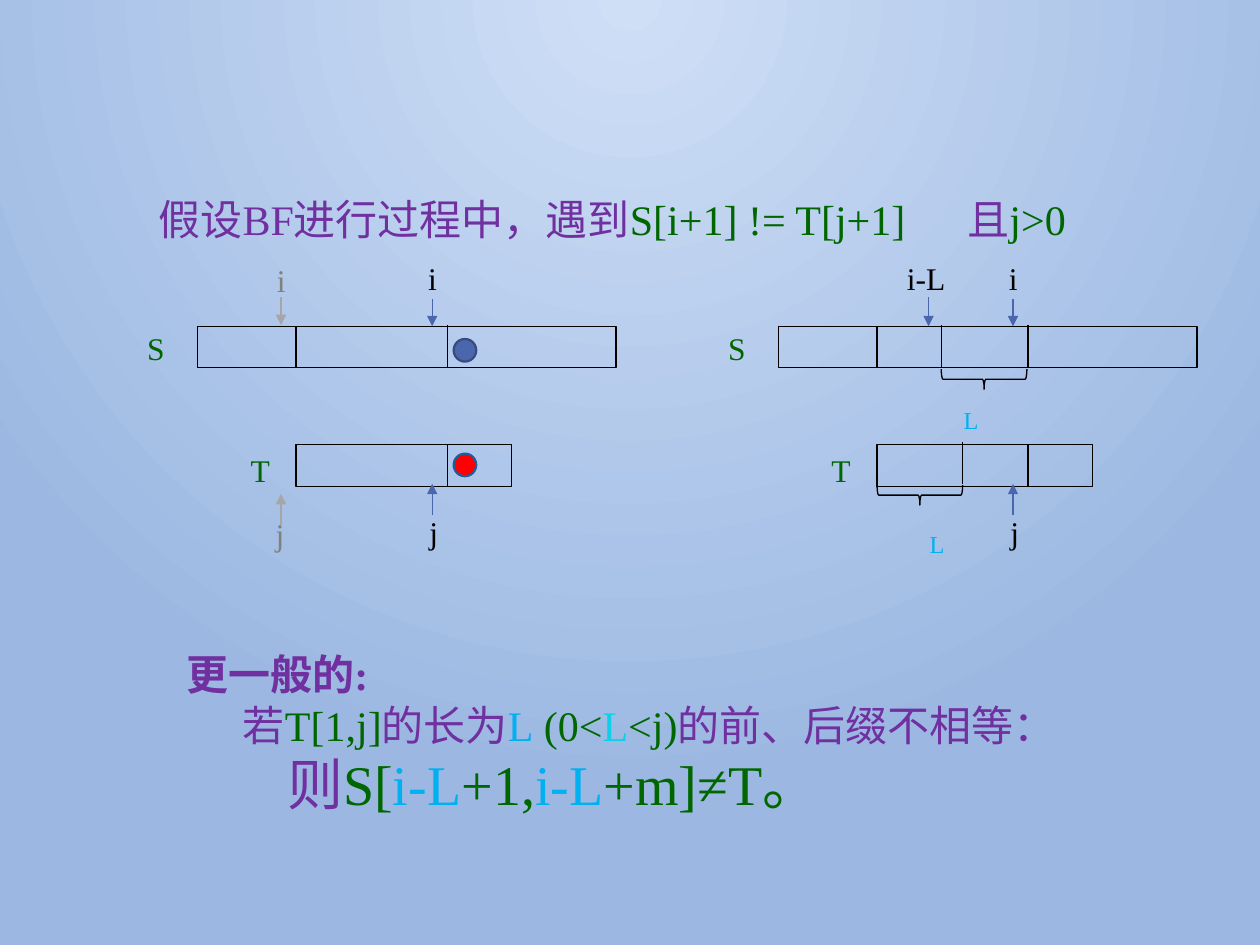
from pptx import Presentation
from pptx.dml.color import RGBColor
from pptx.enum import shapes, text
from pptx.oxml import parse_xml
from pptx.oxml.ns import nsdecls, qn
from pptx.util import Inches, Pt
from lxml import etree

THEME = dict(
    font="Times New Roman", label=18, body=24, big=32, thin=0.75, rim=1.25,
    black="000000", green="006600", purple="7030A0", cyan="00B0F0", aqua="0DCFE9",
    blue="4A66AC", navy="374B7F", red="FF0000", steel="1E5E9E", gray="A6A6A6",
    dim="808080", glow="CFDFF6", sky="9CB8E2")


def rgb(name):
    return RGBColor.from_string(THEME[name])


deck = Presentation()
deck.slide_width, deck.slide_height = Inches(10), Inches(7.5)
slide = deck.slides.add_slide(deck.slide_layouts[6])
items = slide.shapes

# Background: glow from the top centre
fill = slide.background.fill
fill.gradient()
for stop, name, pos in zip(fill.gradient_stops, ("glow", "sky"), (0, 1)):
    stop.color.rgb = rgb(name)
    stop.position = pos
grad = slide._element.find(".//" + qn("a:gradFill"))
grad.remove(grad.find(qn("a:lin")))
grad.append(parse_xml(
    f'<a:path {nsdecls("a")} path="circle">'
    '<a:fillToRect l="43000" t="0" r="43000" b="100000"/></a:path>'))

# Text: (left, top, width, height, paragraphs)
# Paragraph: (size, bold, indent, tab stop, runs)
words = [
    (1.16, 1.49, 8.02, 0.5, [
        ("body", False, 0, 6.42, [
            ("假设BF进行过程中，遇到", "purple"), ("S[i+1] != T[j+1]\t", "green"),
            ("且", "purple"), ("j>0", "green")])]),
    (1.38, 5.1, 8.51, 1.45, [
        ("body", True, 0, 0, [("更一般的:", "purple")]),
        ("body", False, 0.45, 0, [
            ("若", "purple"), ("T[1,j]", "green"), ("的长为", "purple"),
            ("L", "cyan"), (" (0<", "green"), ("L", "aqua"), ("<j)", "green"),
            ("的前、后缀不相等：", "purple")]),
        ("big", False, 0.8, 0, [
            ("则", "purple"), ("S[", "green"), ("i-L", "cyan"), ("+1,", "green"),
            ("i-L", "cyan"), ("+m]≠T。", "green")])]),
]
labels = [
    ("i", 2.1, 2.02, 0.36, "dim"), ("j", 2.09, 4.04, 0.36, "dim"),
    ("i-L", 7.1, 2.01, 0.56, "black"),
    ("L", 7.28, 3.93, 0.47, "cyan"), ("L", 7.55, 2.94, 0.47, "cyan"),
]
boxes, lines = [], []

# The two S/T diagrams share one layout, shifted sideways
for x in (0, 4.61):
    labels += [
        ("S", 1.07 + x, 2.56, 0.44, "green"), ("T", 1.89 + x, 3.53, 0.44, "green"),
        ("i", 3.3 + x, 2.01, 0.36, "black"), ("j", 3.31 + x, 4.02, 0.36, "black")]
    boxes += [(1.57 + x, 2.59, 3.32), (2.35 + x, 3.53, 1.71)]
    lines += [
        (2.35 + x, 2.59, 2.92, "black"), (3.55 + x, 2.58, 2.91, "black"),
        (3.55 + x, 3.53, 3.86, "black"),
        (3.43 + x, 2.37, 2.59, "blue"), (3.43 + x, 4.09, 3.84, "blue")]
lines += [
    (2.23, 2.36, 2.58, "gray"), (2.23, 4.17, 3.92, "gray"), (7.37, 2.36, 2.59, "blue"),
    (7.47, 2.58, 2.91, "black"), (7.64, 3.51, 3.84, "black")]

# Bars, braces and dots: (kind, left, top, width, height, turn, fill, line, weight)
kind = shapes.MSO_SHAPE
forms = [(kind.RECTANGLE, x, y, w, 0.33, 0, None, "black", "thin") for x, y, w in boxes]
forms += [(kind.RIGHT_BRACE, x, y, 0.16, 0.68, 90, None, "black", "thin")
          for x, y in ((7.22, 3.59), (7.73, 2.67))]
forms += [(kind.OVAL, 3.6, y, 0.18, 0.18, 0, color, rim, "rim")
          for y, color, rim in ((2.69, "blue", "navy"), (3.6, "red", "steel"))]
for form, x, y, w, h, turn, color, edge, weight in forms:
    shape = items.add_shape(form, Inches(x), Inches(y), Inches(w), Inches(h))
    shape.shadow.inherit = False
    shape.rotation = turn
    if color:
        shape.fill.solid()
        shape.fill.fore_color.rgb = rgb(color)
    else:
        shape.fill.background()
    shape.line.color.rgb = rgb(edge)
    shape.line.width = Pt(THEME[weight])

# Dividers in black, pointers in colour with an arrowhead
for x, start, end, color in lines:
    line = items.add_connector(shapes.MSO_CONNECTOR.STRAIGHT,
                               Inches(x), Inches(start), Inches(x), Inches(end))
    line.line.color.rgb = rgb(color)
    line.line.width = Pt(THEME["thin"])
    if color != "black":
        etree.SubElement(line.line._get_or_add_ln(), qn("a:tailEnd"), type="triangle")
    etree.SubElement(line._element.spPr, qn("a:effectLst"))

# Labels become one-run text boxes; L is a subscript
for word, x, y, w, color in labels:
    size = "body" if word == "L" else "label"
    words.append((x, y, w, 0.4, [(size, False, 0, 0, [(word, color)])]))

for x, y, w, h, paras in words:
    box = items.add_textbox(Inches(x), Inches(y), Inches(w), Inches(h))
    frame = box.text_frame
    for key, value in dict(word_wrap=True, auto_size=text.MSO_AUTO_SIZE.SHAPE_TO_FIT_TEXT,
                           vertical_anchor=text.MSO_ANCHOR.TOP).items():
        setattr(frame, key, value)
    for n, (size, bold, indent, tab, runs) in enumerate(paras):
        para = frame.add_paragraph() if n else frame.paragraphs[0]
        props = para._p.get_or_add_pPr()
        if indent:
            props.set("marL", str(Inches(indent)))
        if tab:
            tabs = etree.SubElement(props, qn("a:tabLst"))
            etree.SubElement(tabs, qn("a:tab"), pos=str(Inches(tab)), algn="l")
        for word, color in runs:
            run = para.add_run()
            run.text = word
            style = dict(name=THEME["font"], size=Pt(THEME[size]), bold=bold)
            for key, value in style.items():
                setattr(run.font, key, value)
            run.font.color.rgb = rgb(color)
            if word == "L" and len(runs) == 1:
                run._r.get_or_add_rPr().set("baseline", "-25000")

deck.save("out.pptx")
